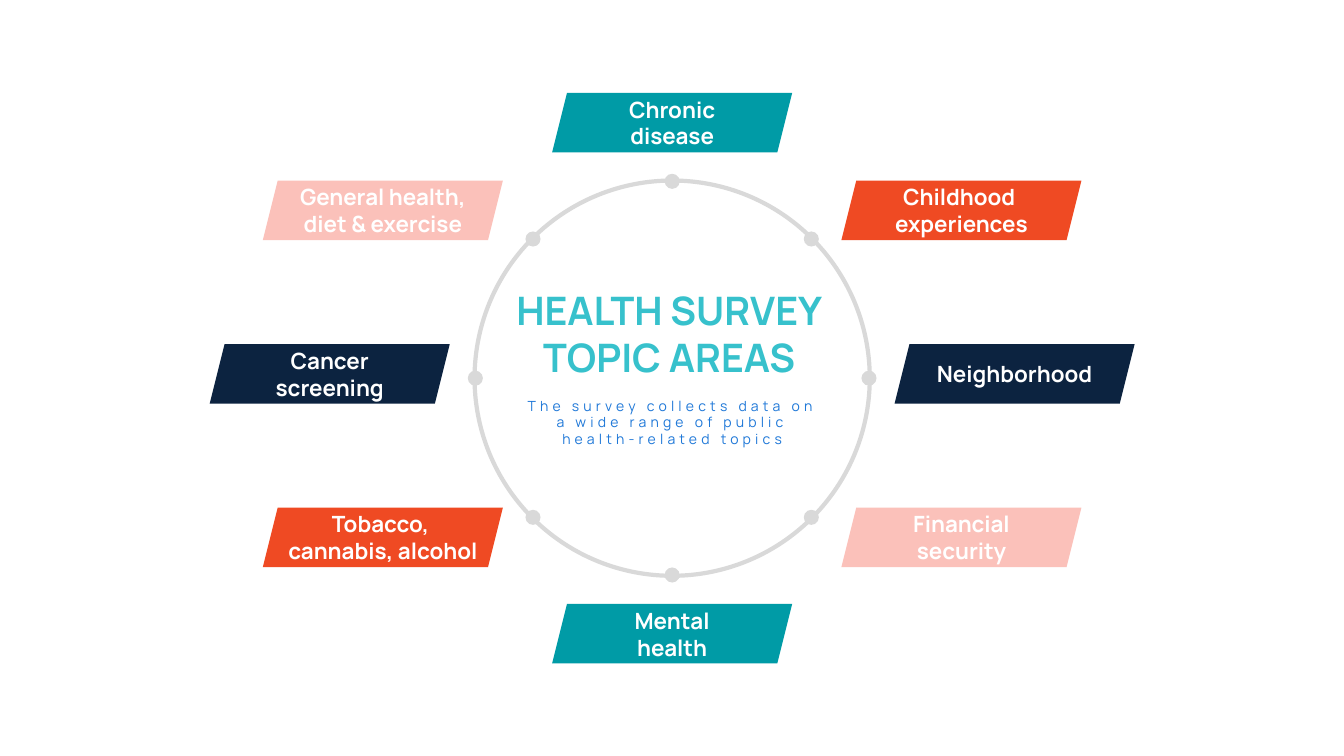
from dataclasses import dataclass
from math import cos, pi, sin

from pptx import Presentation
from pptx.dml.color import RGBColor
from pptx.enum.shapes import MSO_SHAPE
from pptx.enum.text import MSO_ANCHOR, MSO_AUTO_SIZE, PP_ALIGN
from pptx.util import Cm, Pt

PARALLELOGRAM, OVAL = MSO_SHAPE.PARALLELOGRAM, MSO_SHAPE.OVAL
MIDDLE, TOP = MSO_ANCHOR.MIDDLE, MSO_ANCHOR.TOP
CENTER = PP_ALIGN.CENTER
FIT_SHAPE = MSO_AUTO_SIZE.SHAPE_TO_FIT_TEXT

WHITE = RGBColor(0xFF, 0xFF, 0xFF)
TEAL = RGBColor(0x00, 0x9B, 0xA6)
ORANGE = RGBColor(0xEF, 0x4A, 0x23)
PINK = RGBColor(0xFB, 0xC1, 0xBA)
NAVY = RGBColor(0x0C, 0x23, 0x40)
GREY = RGBColor(0xD9, 0xD9, 0xD9)
AQUA = RGBColor(0x37, 0xC1, 0xCC)
BLUE = RGBColor(0x1F, 0x78, 0xD8)
FONT = "Manrope"

# Layout in centimetres
CENTER_X, CENTER_Y = 16.94, 9.53
RING_SIZE, DOT_SIZE, DOT_ORBIT = 9.96, 0.38, 4.96
TAG_WIDTH, TAG_HEIGHT = 6.05, 1.5
DIAGONAL, SIDE = 7.29, 8.63  # tag distances from the vertical axis
TOP_ROW, UPPER_ROW, MIDDLE_ROW, LOWER_ROW, BOTTOM_ROW = 3.09, 5.3, 9.42, 13.54, 15.97


@dataclass(frozen=True)
class Topic:
    label: str
    offset: float
    y: float
    color: RGBColor
    label_width: float
    label_height: float = 1.63


TOPICS = [
    Topic("Chronic\ndisease", 0, TOP_ROW, TEAL, 2.84),
    Topic("Childhood \nexperiences", DIAGONAL, UPPER_ROW, ORANGE, 4.09),
    Topic("Neighborhood", SIDE, MIDDLE_ROW, NAVY, 4.72, 0.94),
    Topic("Financial\nsecurity", DIAGONAL, LOWER_ROW, PINK, 3.23),
    Topic("Mental\nhealth", 0, BOTTOM_ROW, TEAL, 2.57),
    Topic("Tobacco, \ncannabis, alcohol", -DIAGONAL, LOWER_ROW, ORANGE, 5.74),
    Topic("Cancer\nscreening", -SIDE, MIDDLE_ROW, NAVY, 3.45),
    Topic("General health,\ndiet & exercise", -DIAGONAL, UPPER_ROW, PINK, 5.03),
]


def centered_box(x: float, y: float, width: float, height: float) -> tuple:
    return Cm(x - width / 2), Cm(y - height / 2), Cm(width), Cm(height)


def add_figure(slide, kind, box: tuple, *, fill=None, line=None) -> None:
    figure = slide.shapes.add_shape(kind, *box)
    figure.shadow.inherit = False
    if fill is None:
        figure.fill.background()
    else:
        figure.fill.solid()
        figure.fill.fore_color.rgb = fill
    if line is None:
        figure.line.fill.background()
    else:
        figure.line.color.rgb = line
        figure.line.width = Pt(3)


def add_text(slide, text: str, box: tuple, *, size: float, color: RGBColor,
             bold: bool = False, wrap: bool = True, anchor=MIDDLE,
             spacing: float = 0) -> None:
    frame = slide.shapes.add_textbox(*box).text_frame
    frame.word_wrap = wrap
    frame.auto_size = FIT_SHAPE
    frame.vertical_anchor = anchor
    paragraph = frame.paragraphs[0]
    paragraph.text = text  # a newline becomes a line break
    paragraph.alignment = CENTER
    for run in paragraph.runs:
        run.font.name = FONT
        run.font.size = Pt(size)
        run.font.bold = bold
        run.font.color.rgb = color
        if spacing:
            run.font._element.set("spc", str(round(spacing * 100)))


def main() -> None:
    prs = Presentation()
    prs.slide_width, prs.slide_height = Cm(33.87), Cm(19.05)
    slide = prs.slides.add_slide(prs.slide_layouts[6])

    # Topic tags
    for topic in TOPICS:
        tag = centered_box(CENTER_X + topic.offset, topic.y, TAG_WIDTH, TAG_HEIGHT)
        add_figure(slide, PARALLELOGRAM, tag, fill=topic.color)

    # Ring with one dot per topic
    ring = centered_box(CENTER_X, CENTER_Y, RING_SIZE, RING_SIZE)
    add_figure(slide, OVAL, ring, line=GREY)
    for index in range(len(TOPICS)):
        angle = 2 * pi * index / len(TOPICS)
        dot = centered_box(CENTER_X + DOT_ORBIT * sin(angle),
                           CENTER_Y - DOT_ORBIT * cos(angle), DOT_SIZE, DOT_SIZE)
        add_figure(slide, OVAL, dot, fill=GREY)

    # Topic labels
    for topic in TOPICS:
        label = centered_box(CENTER_X + topic.offset, topic.y,
                             topic.label_width, topic.label_height)
        add_text(slide, topic.label, label, size=16, color=WHITE, bold=True, wrap=False)

    # Title and description inside the ring
    add_text(slide, "HEALTH SURVEY\nTOPIC AREAS", (Cm(12.42), Cm(7.09), Cm(8.89), Cm(2.64)),
             size=28, color=AQUA, bold=True)
    add_text(slide, "The survey collects data on a wide range of public health-related topics",
             (Cm(12.9), Cm(9.88), Cm(8.08), Cm(1.55)),
             size=10, color=BLUE, anchor=TOP, spacing=3)

    prs.save("out.pptx")


if __name__ == "__main__":
    main()
